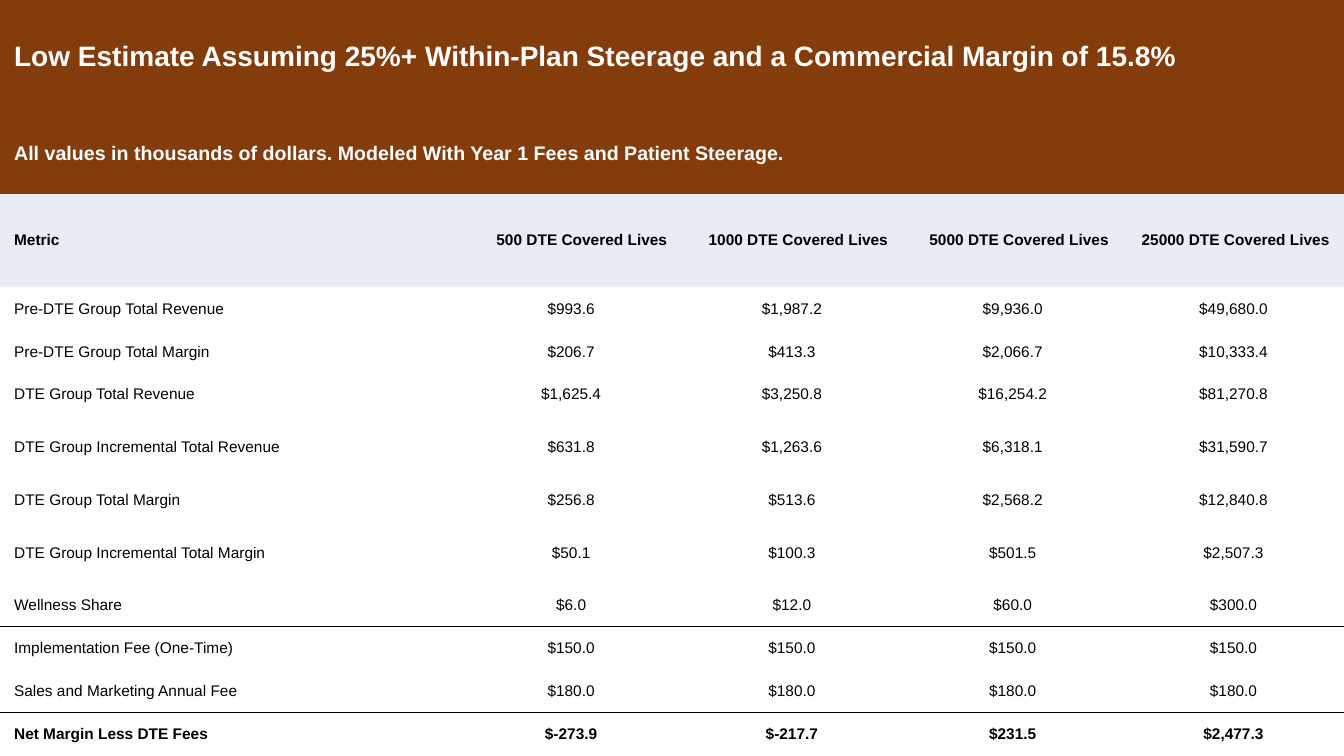
from lxml import etree
from pptx import Presentation
from pptx.dml.color import RGBColor
from pptx.enum import text
from pptx.oxml import ns
from pptx.util import Inches, Pt

COLORS = {"brown": "843C0C", "pale": "E7ECF5", "white": "FFFFFF", "black": "000000"}
NO_GRID_STYLE = "{2D5ABB26-0587-4C30-8999-92F81FD0307C}"
WIDTH, HEIGHT, INDENT = 13.33, 7.5, 0.14

rows = [
    ["Low Estimate Assuming 25%+ Within-Plan Steerage and a Commercial Margin of 15.8%"],
    ["All values in thousands of dollars. Modeled With Year 1 Fees and Patient Steerage."],
    ["Metric"] + [f"{lives} DTE Covered Lives" for lives in (500, 1000, 5000, 25000)],
    ["Pre-DTE Group Total Revenue", "$993.6", "$1,987.2", "$9,936.0", "$49,680.0"],
    ["Pre-DTE Group Total Margin", "$206.7", "$413.3", "$2,066.7", "$10,333.4"],
    ["DTE Group Total Revenue", "$1,625.4", "$3,250.8", "$16,254.2", "$81,270.8"],
    ["DTE Group Incremental Total Revenue", "$631.8", "$1,263.6", "$6,318.1", "$31,590.7"],
    ["DTE Group Total Margin", "$256.8", "$513.6", "$2,568.2", "$12,840.8"],
    ["DTE Group Incremental Total Margin", "$50.1", "$100.3", "$501.5", "$2,507.3"],
    ["Wellness Share", "$6.0", "$12.0", "$60.0", "$300.0"],
    ["Implementation Fee (One-Time)"] + ["$150.0"] * 4,
    ["Sales and Marketing Annual Fee"] + ["$180.0"] * 4,
    ["Net Margin Less DTE Fees", "$-273.9", "$-217.7", "$231.5", "$2,477.3"],
]
special_heights = {0: 1.13, 1: 0.79, 2: 0.93, 6: 0.62, 8: 0.62}
plain_height = (HEIGHT - sum(special_heights.values())) / (len(rows) - len(special_heights))
fills = {0: "brown", 1: "brown", 2: "pale"}
sizes = {0: 20, 1: 14}
bold_rows = {0, 1, 2, len(rows) - 1}
ruled_sides = {(9, "lnB"), (10, "lnT"), (11, "lnB"), (12, "lnT")}


def set_border(cell, side, ruled):
    line = etree.Element(ns.qn(f"a:{side}"), w=str(Pt(1)))
    if ruled:
        fill = etree.SubElement(line, ns.qn("a:solidFill"))
        etree.SubElement(fill, ns.qn("a:srgbClr"), val=COLORS["black"])
    else:
        etree.SubElement(line, ns.qn("a:noFill"))
    cell._tc.get_or_add_tcPr().insert(0, line)


deck = Presentation()
deck.slide_width, deck.slide_height = Inches(WIDTH), Inches(HEIGHT)
page = deck.slides.add_slide(deck.slide_layouts[6])
table = page.shapes.add_table(len(rows), 5, 0, 0, Inches(WIDTH), Inches(HEIGHT)).table
table.first_row = table.horz_banding = False
table._tbl.tblPr.find(ns.qn("a:tableStyleId")).text = NO_GRID_STYLE

for index, column in enumerate(table.columns):
    column.width = Inches(2.19 if index else 4.57)

for row_index, values in enumerate(rows):
    table.rows[row_index].height = Inches(special_heights.get(row_index, plain_height))
    if len(values) == 1:
        table.cell(row_index, 0).merge(table.cell(row_index, 4))
    for column_index, value in enumerate(values):
        cell = table.cell(row_index, column_index)
        cell.vertical_anchor = text.MSO_ANCHOR.MIDDLE
        for side in ("left", "right", "top", "bottom"):
            setattr(cell, f"margin_{side}", 0)
        if row_index in fills:
            cell.fill.solid()
            cell.fill.fore_color.rgb = RGBColor.from_string(COLORS[fills[row_index]])
        else:
            cell.fill.background()
        for side in ("lnB", "lnT"):
            set_border(cell, side, (row_index, side) in ruled_sides)

        para = cell.text_frame.paragraphs[0]
        if column_index == 0:
            para.alignment = text.PP_ALIGN.LEFT
        else:
            para.alignment = text.PP_ALIGN.RIGHT if row_index == 2 else text.PP_ALIGN.CENTER
        for margin in ("marL", "marR"):
            para._p.get_or_add_pPr().set(margin, str(Inches(INDENT)))
        span = para.add_run()
        span.text = value
        style = {"name": "Arial", "size": Pt(sizes.get(row_index, 11)), "bold": row_index in bold_rows}
        for key, setting in style.items():
            setattr(span.font, key, setting)
        ink = "white" if row_index < 2 else "black"
        span.font.color.rgb = RGBColor.from_string(COLORS[ink])

deck.save("out.pptx")
